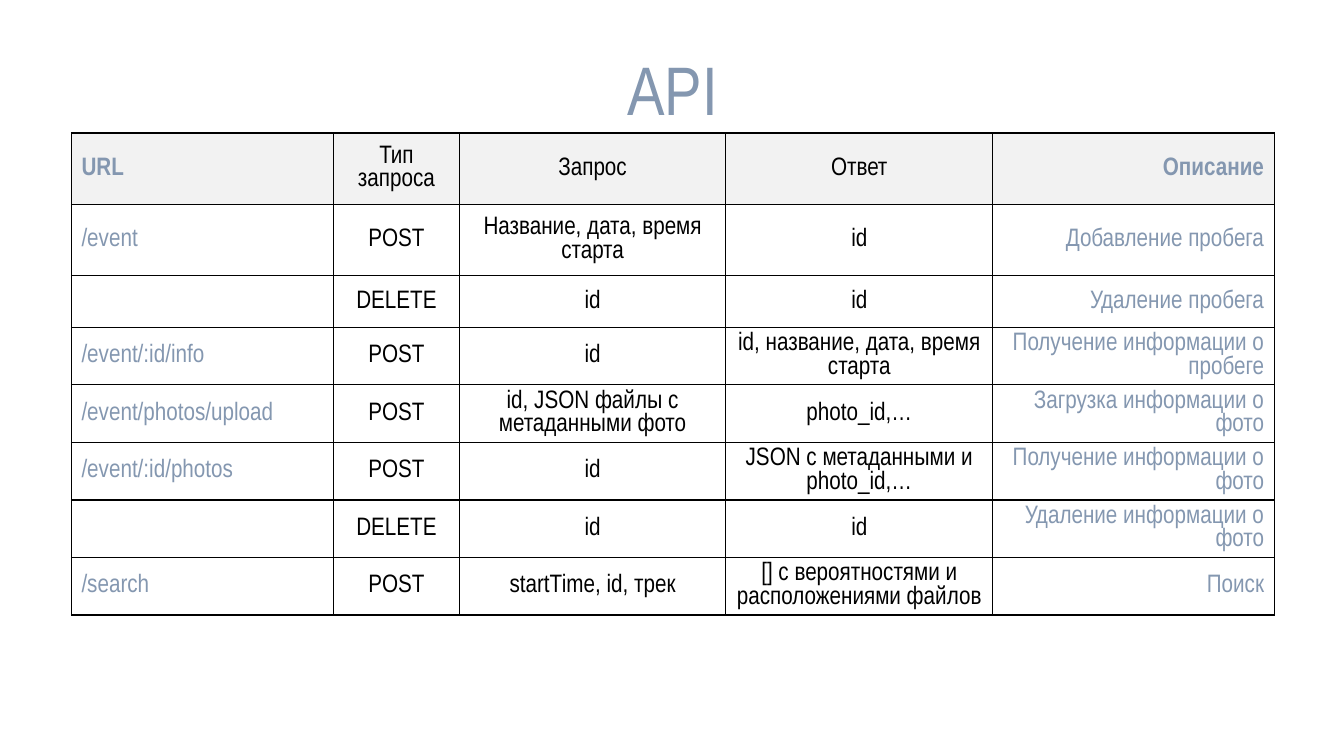
import pptx
import pptx.dml.color
import pptx.enum.text
import pptx.oxml
import pptx.oxml.ns
import pptx.util
from pptx.util import Cm

COLORS = {"accent": "8497B0", "text": "000000", "header": "F2F2F2", "border": "000000"}
FONT = "Arial Narrow"
ALIGN = pptx.enum.text.PP_ALIGN
MIDDLE = pptx.enum.text.MSO_ANCHOR.MIDDLE


def style_paragraph(paragraph, size, color, alignment, bold=False):
    paragraph.alignment = alignment
    paragraph.font.name = FONT
    paragraph.font.size = pptx.util.Pt(size)
    paragraph.font.bold = bold
    paragraph.font.color.rgb = pptx.dml.color.RGBColor.from_string(COLORS[color])


def add_borders(cell):
    properties = cell._tc.get_or_add_tcPr()
    for position, side in enumerate(("lnL", "lnR", "lnT", "lnB")):
        properties.insert(position, pptx.oxml.parse_xml(
            f'<a:{side} {pptx.oxml.ns.nsdecls("a")} w="12700"><a:solidFill>'
            f'<a:srgbClr val="{COLORS["border"]}"/></a:solidFill></a:{side}>'))


presentation = pptx.Presentation()
presentation.slide_width = Cm(33.87)
presentation.slide_height = Cm(19.05)
slide = presentation.slides.add_slide(presentation.slide_layouts[6])

# Endpoint table
rows = [
    ("URL", "Тип запроса", "Запрос", "Ответ", "Описание"),
    ("/event", "POST", "Название, дата, время старта", "id", "Добавление пробега"),
    ("", "DELETE", "id", "id", "Удаление пробега"),
    ("/event/:id/info", "POST", "id", "id, название, дата, время старта",
     "Получение информации о пробеге"),
    ("/event/photos/upload", "POST", "id, JSON файлы с метаданными фото", "photo_id,…",
     "Загрузка информации о фото"),
    ("/event/:id/photos", "POST", "id", "JSON с метаданными и photo_id,…",
     "Получение информации о фото"),
    ("", "DELETE", "id", "id", "Удаление информации о фото"),
    ("/search", "POST", "startTime, id, трек",
     "[] с вероятностями и расположениями файлов", "Поиск"),
]
column_widths = [6.6, 3.18, 6.71, 6.73, 7.09]
row_heights = [1.8, 1.8, 1.3] + [1.04] * 5
column_styles = [("accent", ALIGN.LEFT)] + [("text", ALIGN.CENTER)] * 3 + [("accent", ALIGN.RIGHT)]

table = slide.shapes.add_table(len(rows), len(column_widths), Cm(1.8), Cm(3.35),
                               Cm(sum(column_widths)), Cm(sum(row_heights))).table
for column, width in zip(table.columns, column_widths):
    column.width = Cm(width)
for row, height in zip(table.rows, row_heights):
    row.height = Cm(height)

for row_index, texts in enumerate(rows):
    is_header = row_index == 0
    for column_index, (text, (color, alignment)) in enumerate(zip(texts, column_styles)):
        cell = table.cell(row_index, column_index)
        cell.text = text
        cell.vertical_anchor = MIDDLE
        style_paragraph(cell.text_frame.paragraphs[0], 18, color, alignment,
                        bold=is_header and color == "accent")
        if is_header:
            cell.fill.solid()
            cell.fill.fore_color.rgb = pptx.dml.color.RGBColor.from_string(COLORS["header"])
        else:
            cell.fill.background()
        add_borders(cell)

# Title
title = slide.shapes.add_textbox(Cm(2.34), Cm(0.51), Cm(29.21), Cm(3.68))
title.text_frame.word_wrap = True
title.text_frame.vertical_anchor = MIDDLE
title.text_frame.text = "API"
title_paragraph = title.text_frame.paragraphs[0]
title_paragraph.line_spacing = 0.9
style_paragraph(title_paragraph, 49, "accent", ALIGN.CENTER)

presentation.save("out.pptx")
